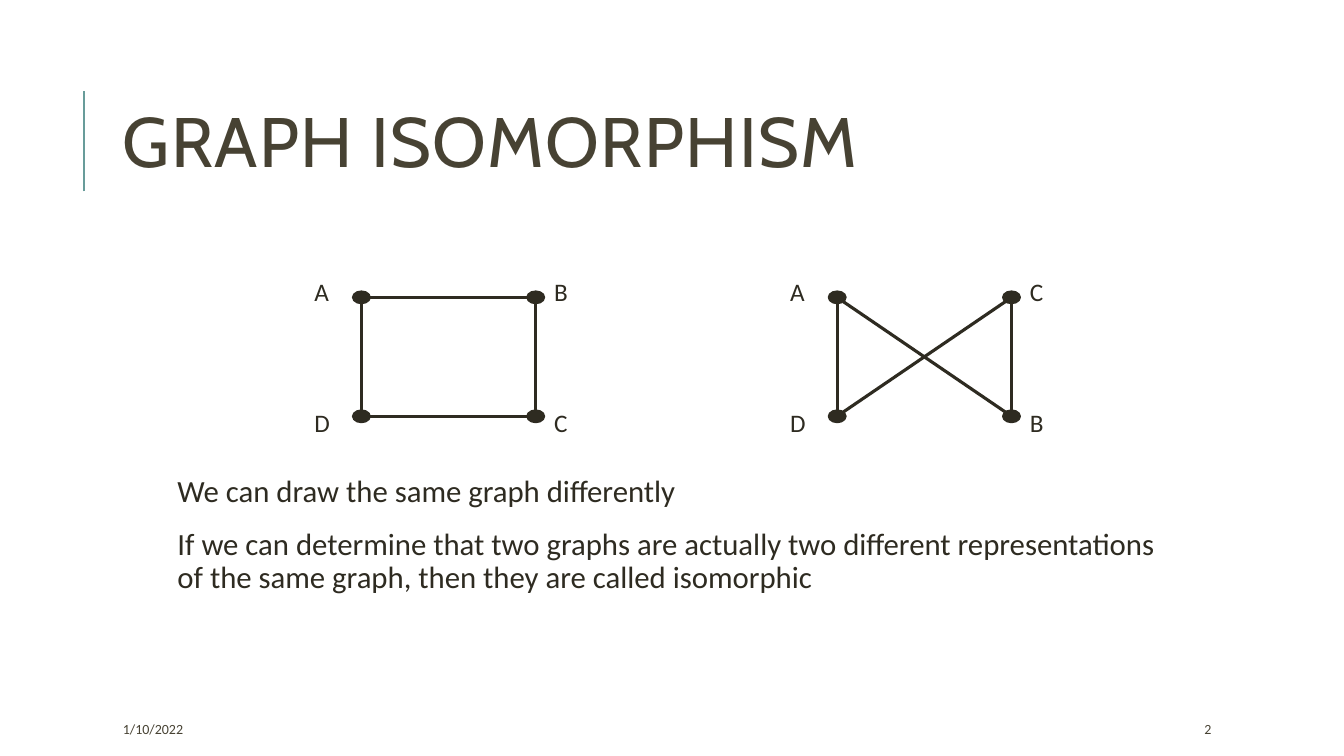
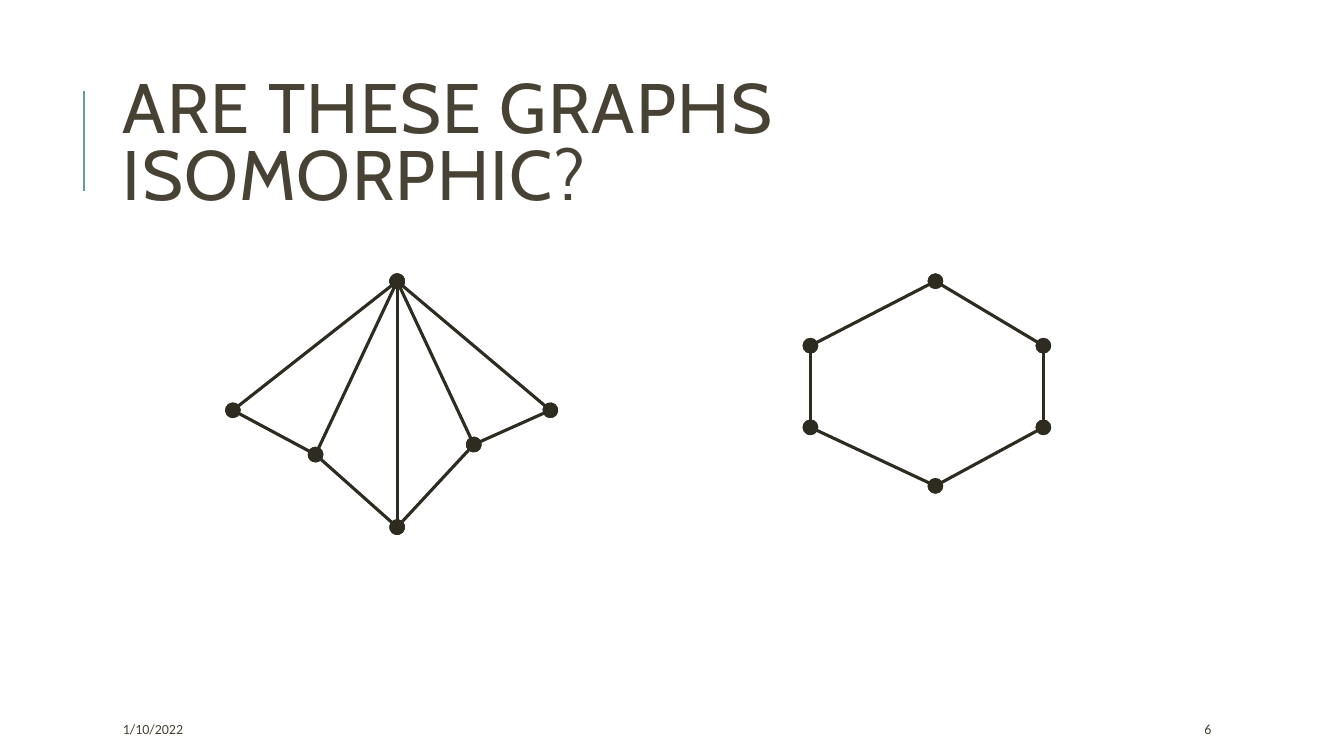
from math import copysign, sqrt

from lxml.etree import SubElement
from pptx import Presentation
from pptx.dml.color import RGBColor
from pptx.enum.shapes import MSO_CONNECTOR, MSO_SHAPE
from pptx.enum.text import MSO_ANCHOR, MSO_AUTO_SIZE, PP_ALIGN
from pptx.oxml.ns import qn
from pptx.util import Inches, Pt

WIDTH, HEIGHT = Inches(13.33), Inches(7.5)
INK, TITLE_COLOUR, ACCENT = "2E2B21", "474233", "689C9A"
TITLE_FONT, TEXT_FONT = "Cabin", "Calibri"
TITLE_AND_BODY, TITLE_ONLY = 1, 5
EDGE_WEIGHT = 2.25

# Positions and sizes are percentages of the slide's width and height.
TITLE_BOX = (8.4, 8.53, 79.72, 21.87)
BODY_BOX = (12.08, 62.27, 75.9, 21.47)
DATE_BOX = (8.4, 94.4, 17.7, 4)
NUMBER_BOX = (88.88, 94.4, 7.95, 4)
DOT = (1.28, 1.6)
LABEL = (2.63, 5.33)
LABEL_OFFSETS = (-4.24, 0.64)
LABEL_TOPS = (35.87, 53.2)
SQUARE_LEFTS = (26.89, 62.29)
SQUARE_WIDTH = 12.97
SQUARE_ROWS = (39.33, 55.07)

CORNERS = {"top left": (0, 0), "top right": (1, 0),
           "bottom right": (1, 1), "bottom left": (0, 1)}
RECTANGLE_EDGES = [("top left", "top right"), ("bottom left", "bottom right"),
                   ("top right", "bottom right"), ("top left", "bottom left")]
BOW_TIE_EDGES = [("top left", "bottom left"), ("top right", "bottom right"),
                 ("top left", "bottom right"), ("top right", "bottom left")]

FAN = {"top": (29.55, 37.2), "left": (17.33, 54.27),
       "lower left": (23.48, 60.13), "bottom": (29.55, 69.73),
       "lower right": (35.25, 58.8), "right": (40.95, 54.27)}
HEXAGON = {"top": (69.6, 37.2), "upper right": (77.63, 45.73),
           "lower right": (77.63, 56.53), "bottom": (69.6, 64.27),
           "lower left": (60.3, 56.53), "upper left": (60.3, 45.73)}


def colour(hex_string):
    return RGBColor.from_string(hex_string)


def across(percent):
    return round(WIDTH * percent / 100)


def down(percent):
    return round(HEIGHT * percent / 100)


def place(box):
    """Turn a box in percentages into left, top, width and height."""
    left, top, width, height = box
    return across(left), down(top), across(width), down(height)


def move(shape, box):
    shape.left, shape.top, shape.width, shape.height = place(box)


def add_run(paragraph, text, size, hex_string=INK, font_name=TEXT_FONT):
    run = paragraph.add_run()
    run.text = text
    run.font.name = font_name
    run.font.size = Pt(size)
    run.font.color.rgb = colour(hex_string)
    return run


def add_text(slide, box, text, size, hex_string=INK, wrap=True,
             anchor=MSO_ANCHOR.TOP):
    frame = slide.shapes.add_textbox(*place(box)).text_frame
    frame.word_wrap = wrap
    frame.vertical_anchor = anchor
    add_run(frame.paragraphs[0], text, size, hex_string)


def add_line(slide, start, end, hex_string=INK, weight=EDGE_WEIGHT,
             oval_ends=False):
    line = slide.shapes.add_connector(
        MSO_CONNECTOR.STRAIGHT, across(start[0]), down(start[1]),
        across(end[0]), down(end[1]))
    line.line.color.rgb = colour(hex_string)
    line.line.width = Pt(weight)
    if oval_ends:
        outline = line.line._get_or_add_ln()
        for tag in ("a:headEnd", "a:tailEnd"):
            SubElement(outline, qn(tag), type="oval", w="lg", len="lg")
    SubElement(line.element.spPr, qn("a:effectLst"))


def add_dot(slide, centre):
    box = (centre[0] - DOT[0] / 2, centre[1] - DOT[1] / 2, *DOT)
    dot = slide.shapes.add_shape(MSO_SHAPE.OVAL, *place(box))
    dot.shadow.inherit = False
    dot.fill.solid()
    dot.fill.fore_color.rgb = colour(INK)
    dot.line.color.rgb = colour(INK)
    dot.line.width = Pt(1.25)


def rim_point(centre, target):
    """Return the point on a dot's rim that faces the target."""
    steps = [b - a for a, b in zip(centre, target)]
    reach = sqrt(0.5) if all(steps) else 1
    return [a + (copysign(size / 2 * reach, step) if step else 0)
            for a, step, size in zip(centre, steps, DOT)]


def add_labelled_square(slide, left, names, edges):
    """Draw four dots, named clockwise from the top left, and their edges."""
    centres = {corner: (left + column * SQUARE_WIDTH, SQUARE_ROWS[row])
               for corner, (column, row) in CORNERS.items()}
    for centre in centres.values():
        add_dot(slide, centre)
    for first, second in edges:
        start, end = centres[first], centres[second]
        add_line(slide, rim_point(start, end), rim_point(end, start))
    for (corner, (column, row)), name in zip(CORNERS.items(), names):
        label_left = centres[corner][0] + LABEL_OFFSETS[column]
        add_text(slide, (label_left, LABEL_TOPS[row], *LABEL), name, 18,
                 wrap=False)


def add_oval_graph(slide, vertices, edges):
    for first, second in edges:
        add_line(slide, vertices[first], vertices[second], oval_ends=True)


def fill_title(slide, text):
    title = slide.shapes.title
    move(title, TITLE_BOX)
    frame = title.text_frame
    frame.auto_size = MSO_AUTO_SIZE.NONE
    frame.word_wrap = True
    frame.vertical_anchor = MSO_ANCHOR.MIDDLE
    paragraph = frame.paragraphs[0]
    paragraph.alignment = PP_ALIGN.LEFT
    paragraph.line_spacing = 0.8
    run = add_run(paragraph, text, 50, TITLE_COLOUR, TITLE_FONT)
    run.font._element.set("spc", "100")


def fill_body(slide, texts):
    body = slide.placeholders[1]
    move(body, BODY_BOX)
    frame = body.text_frame
    frame.auto_size = MSO_AUTO_SIZE.NONE
    frame.word_wrap = True
    frame.vertical_anchor = MSO_ANCHOR.TOP
    frame.margin_left = frame.margin_right = Inches(0.05)
    frame.margin_top = frame.margin_bottom = Inches(0.05)
    for index, text in enumerate(texts):
        paragraph = frame.add_paragraph() if index else frame.paragraphs[0]
        paragraph.line_spacing = 0.9
        paragraph.space_before = Pt(12)
        paragraph.space_after = Pt(2)
        properties = paragraph._p.get_or_add_pPr()
        properties.set("marL", str(Inches(0.1)))
        properties.set("indent", "0")
        SubElement(properties, qn("a:buNone"))
        add_run(paragraph, text, 22)


def add_slide(presentation, layout, title, number):
    """Add a slide with the shared title, accent line and footer."""
    slide = presentation.slides.add_slide(presentation.slide_layouts[layout])
    add_line(slide, (6.25, 25.33), (6.25, 12), ACCENT, 1.5)
    fill_title(slide, title)
    for box, text in ((DATE_BOX, "1/10/2022"), (NUMBER_BOX, number)):
        add_text(slide, box, text, 10, TITLE_COLOUR, anchor=MSO_ANCHOR.MIDDLE)
    return slide


def add_isomorphism_slide(presentation):
    slide = add_slide(presentation, TITLE_AND_BODY, "GRAPH ISOMORPHISM", "2")
    fill_body(slide, [
        "We can draw the same graph differently",
        "If we can determine that two graphs are actually two different "
        "representations of the same graph, then they are called isomorphic",
    ])
    squares = (("ABCD", RECTANGLE_EDGES), ("ACBD", BOW_TIE_EDGES))
    for left, (names, edges) in zip(SQUARE_LEFTS, squares):
        add_labelled_square(slide, left, names, edges)


def add_question_slide(presentation):
    slide = add_slide(presentation, TITLE_ONLY,
                      "ARE THESE GRAPHS ISOMORPHIC?", "6")
    apex, *base = FAN
    spokes = [(apex, vertex) for vertex in base]
    add_oval_graph(slide, FAN, spokes + list(zip(base, base[1:])))
    ring = list(HEXAGON)
    add_oval_graph(slide, HEXAGON, zip(ring, ring[1:] + ring[:1]))


def main():
    presentation = Presentation()
    presentation.slide_width, presentation.slide_height = WIDTH, HEIGHT
    add_isomorphism_slide(presentation)
    add_question_slide(presentation)
    presentation.save("out.pptx")


if __name__ == "__main__":
    main()
